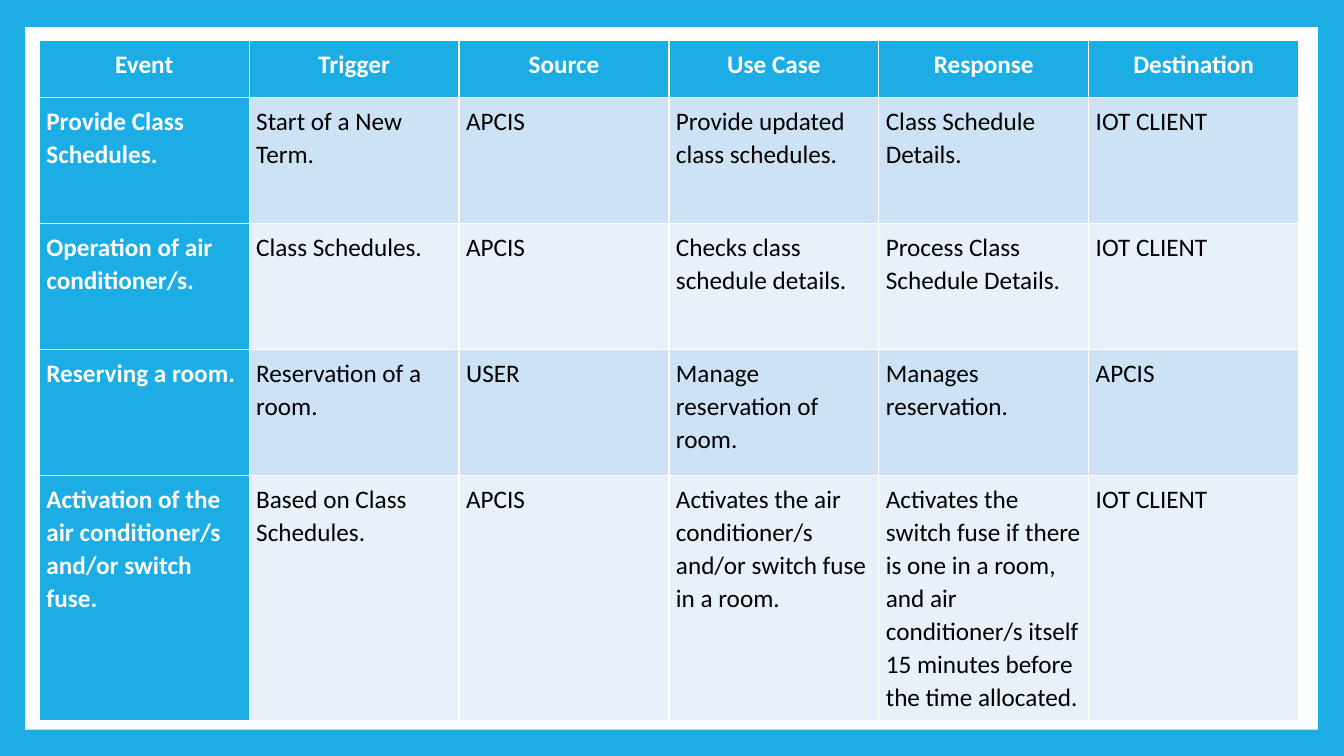
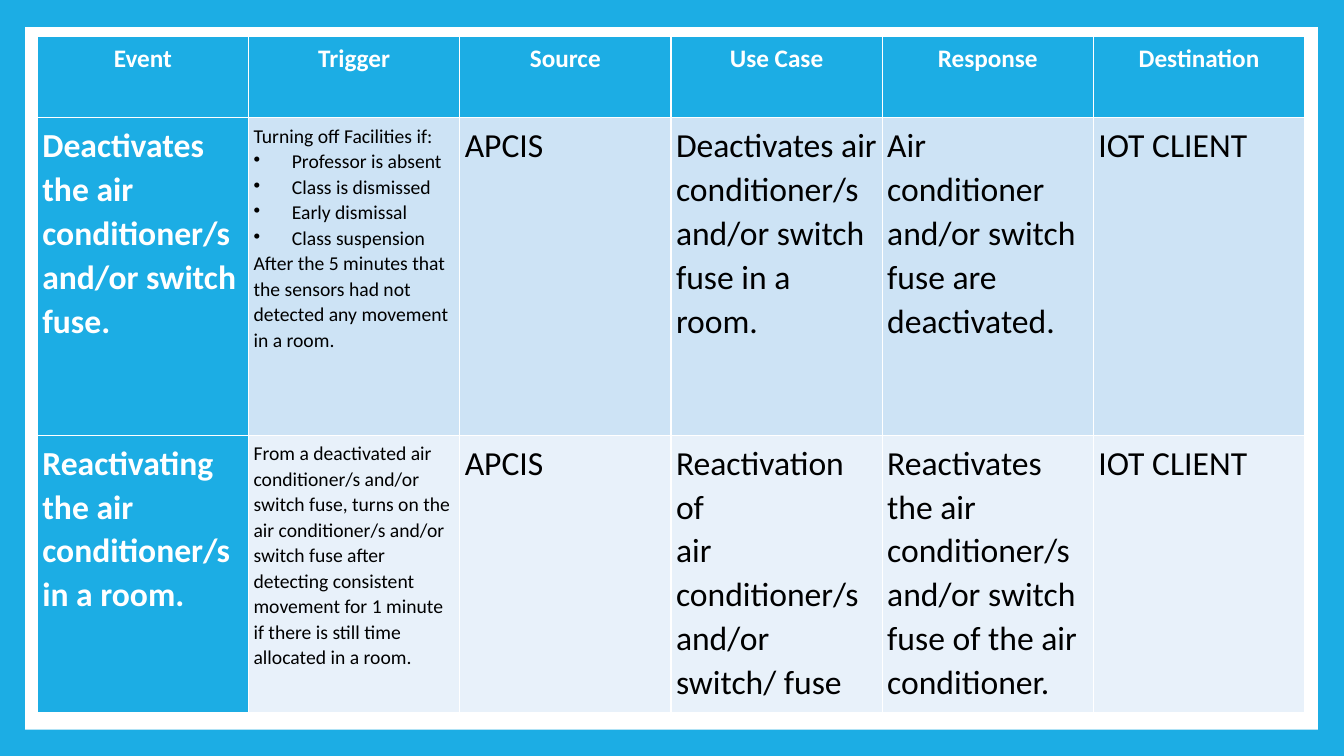
from lxml.etree import SubElement
from pptx import Presentation
from pptx.dml.color import RGBColor
from pptx.enum.shapes import MSO_SHAPE as Shape
from pptx.enum.text import PP_ALIGN as Align
from pptx.oxml.ns import qn
from pptx.util import Inches, Pt

BLUE, WHITE, BLACK = "1CADE4", "FFFFFF", "000000"
BANDS = ["CDE3F5", "E8F1FA"]
HEADS = ["Event", "Trigger", "Source", "Use Case", "Response", "Destination"]


def paint(fill, color):
    fill.solid()
    fill.fore_color.rgb = RGBColor.from_string(color)


def add_bullet(para):
    props = para._p.get_or_add_pPr()
    props.set("marL", str(Inches(0.38)))
    props.set("indent", str(-Inches(0.38)))
    SubElement(props, qn("a:buChar"), char="•")


pages = [
    {
        "at": (0.39, 0.4), "width": 12.49, "inset": 0.07,
        "heights": [0.57, 1.25, 1.25, 1.25, 2.32],
        "sizes": [18, 18, 18, 18, 18, 18],
        "rows": [
            ["Provide Class Schedules.", "Start of a New Term.", "APCIS",
             "Provide updated class schedules.", "Class Schedule Details.", "IOT CLIENT"],
            ["Operation of air conditioner/s.", "Class Schedules.", "APCIS",
             "Checks class schedule details.", "Process Class Schedule Details.", "IOT CLIENT"],
            ["Reserving a room.", "Reservation of a room.", "USER",
             "Manage reservation of room.", "Manages reservation.", "APCIS"],
            ["Activation of the air conditioner/s and/or switch fuse.",
             "Based on Class Schedules.", "APCIS",
             "Activates the air conditioner/s and/or switch fuse in a room.",
             "Activates the switch fuse if there is one in a room, and air "
             "conditioner/s itself 15 minutes before the time allocated.", "IOT CLIENT"],
        ],
    },
    {
        "at": (0.37, 0.36), "width": 12.57, "inset": 0.05,
        "heights": [0.81, 3.15, 2.75],
        "sizes": [24, 14, 24, 24, 24, 24],
        "rows": [
            ["Deactivates the air conditioner/s and/or switch fuse.",
             ["Turning off Facilities if:", "•Professor is absent", "•Class is dismissed",
              "•Early dismissal", "•Class suspension",
              "After the 5 minutes that the sensors had not detected any movement in a room."],
             "APCIS", "Deactivates air conditioner/s and/or switch fuse in a room.",
             "Air conditioner and/or switch fuse are deactivated.", "IOT CLIENT"],
            ["Reactivating the air conditioner/s in a room.",
             "From a deactivated air conditioner/s and/or switch fuse, turns on the air "
             "conditioner/s and/or switch fuse after detecting consistent movement for "
             "1 minute if there is still time allocated in a room.",
             "APCIS", ["Reactivation of", "air conditioner/s and/or", "switch/ fuse"],
             "Reactivates the air conditioner/s and/or switch fuse of the air conditioner.",
             "IOT CLIENT"],
        ],
    },
]

deck = Presentation()
deck.slide_width, deck.slide_height = Inches(13.33), Inches(7.5)
blank = deck.slide_layouts[6]
master = deck.slide_master
paint(master.background.fill, BLUE)

for page in pages:
    slide = deck.slides.add_slide(blank)
    if page is pages[0]:
        panel = slide.shapes.add_shape(
            Shape.RECTANGLE, Inches(0.25), Inches(0.27), Inches(12.82), Inches(6.97))
        panel.shadow.inherit = False
        paint(panel.fill, WHITE)
        panel.line.fill.background()
        master.shapes.element.insert(2, panel.element)

    left, top = page["at"]
    heights = page["heights"]
    table = slide.shapes.add_table(
        len(heights), len(HEADS), Inches(left), Inches(top),
        Inches(page["width"]), Inches(sum(heights))).table
    table.first_col = True
    for col in table.columns:
        col.width = Inches(page["width"] / len(HEADS))
    for row, height in zip(table.rows, heights):
        row.height = Inches(height)

    inset = Inches(page["inset"])
    for r, texts in enumerate([HEADS] + page["rows"]):
        for c, text in enumerate(texts):
            cell = table.cell(r, c)
            strong = r == 0 or c == 0
            paint(cell.fill, BLUE if strong else BANDS[(r - 1) % 2])
            cell.margin_left = cell.margin_right = inset
            cell.margin_top = cell.margin_bottom = inset
            lines = [text] if isinstance(text, str) else text
            frame = cell.text_frame
            for n, line in enumerate(lines):
                para = frame.add_paragraph() if n else frame.paragraphs[0]
                para.text = line.lstrip("•")
                para.line_spacing = 1.07
                if r == 0:
                    para.alignment = Align.CENTER
                if line.startswith("•"):
                    add_bullet(para)
                font = para.font
                font.name, font.bold = "Calibri", strong
                font.size = Pt(page["sizes"][c] if r else 18)
                paint(font.fill, WHITE if strong else BLACK)

deck.save("out.pptx")
